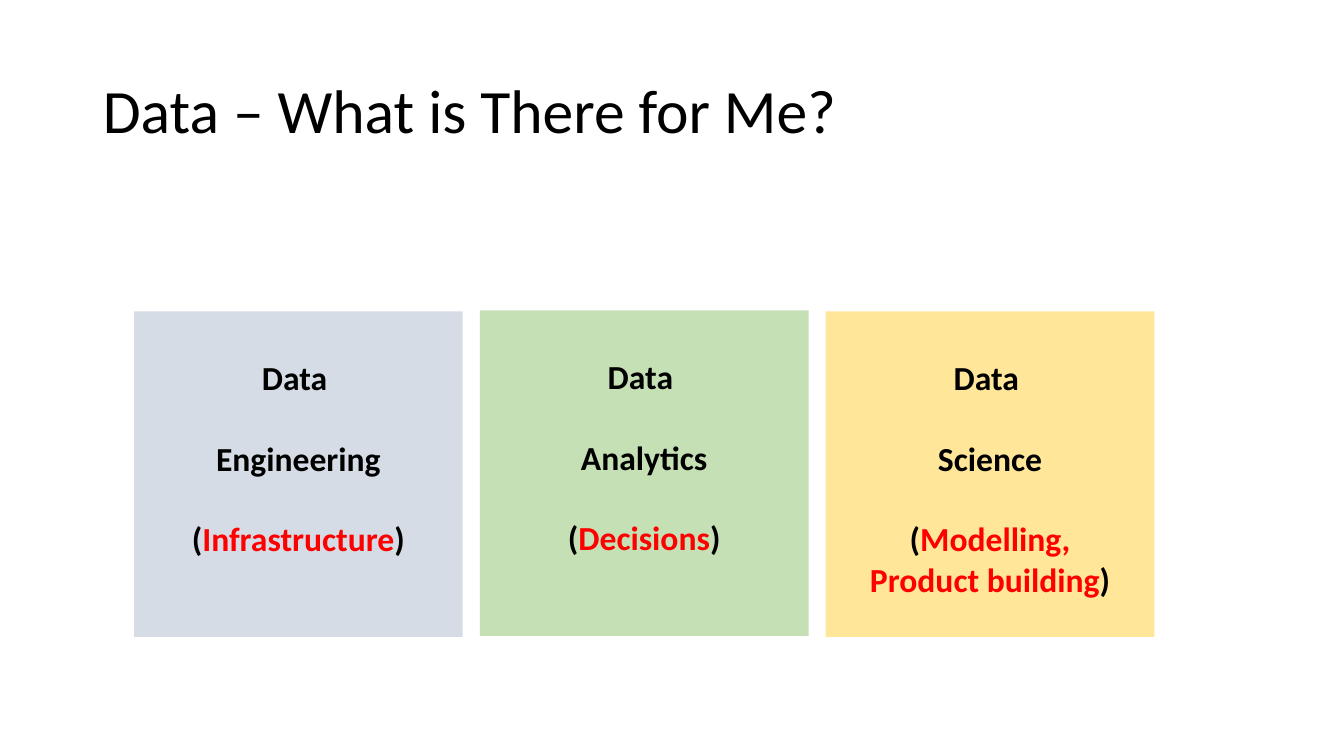
"""Build a slide that shows three data career paths side by side."""
import pptx
import pptx.util
from pptx.dml.color import RGBColor
from pptx.enum.shapes import MSO_SHAPE
from pptx.enum.text import MSO_ANCHOR, MSO_AUTO_SIZE, PP_ALIGN

TITLE = "Data – What is There for Me?"
PATHS = [
    ("Engineering", ["Infrastructure"], "D6DCE5", 3.09),
    ("Analytics", ["Decisions"], "C5E0B4", 3.08),
    ("Science", ["Modelling,", "Product building"], "FFE699", 3.09),
]
THEME = {"font": "Calibri", "title": 44, "body": 24, "text": "000000", "accent": "FF0000"}
SLIDE_W, SLIDE_H = 13.33, 7.5
CARD_LEFT, CARD_W, CARD_H, GAP = 1.33, 3.26, 3.23, 0.17
LINE = THEME["body"] * 1.2
INSET = 0.05

Inches, Pt = pptx.util.Inches, pptx.util.Pt


def apply(obj, **values):
    for name, value in values.items():
        setattr(obj, name, value)


def add_run(p, text, size, color, bold):
    r = p.add_run()
    r.text = text
    apply(r.font, name=THEME["font"], size=Pt(size), bold=bold)
    r.font.color.rgb = RGBColor.from_string(THEME[color])


def card_lines(field, goals):
    lines = [[("Data ", "text")], [(field, "text")]]
    lines += [[(goal, "accent")] for goal in goals]
    lines[2].insert(0, ("(", "text"))
    lines[-1].append((")", "text"))
    return lines


def add_card(s, column, field, goals, fill, top):
    left = CARD_LEFT + column * (CARD_W + GAP)
    sp = s.shapes.add_shape(MSO_SHAPE.RECTANGLE, *map(Inches, (left, top, CARD_W, CARD_H)))
    sp.shadow.inherit = False
    sp.fill.solid()
    sp.fill.fore_color.rgb = RGBColor.from_string(fill)
    sp.line.fill.background()
    tf = sp.text_frame
    apply(tf, word_wrap=True, vertical_anchor=MSO_ANCHOR.TOP,
          margin_top=Inches(INSET) + Pt(LINE))
    for i, runs in enumerate(card_lines(field, goals)):
        p = tf.paragraphs[0] if i == 0 else tf.add_paragraph()
        apply(p, alignment=PP_ALIGN.CENTER, space_before=Pt(LINE if i in (1, 2) else 0))
        for text, color in runs:
            add_run(p, text, THEME["body"], color, True)


def main():
    prs = pptx.Presentation()
    apply(prs, slide_width=Inches(SLIDE_W), slide_height=Inches(SLIDE_H))
    s = prs.slides.add_slide(prs.slide_layouts[5])
    title = s.shapes.title
    apply(title, left=Inches(0.92), top=Inches(0.4), width=Inches(11.5), height=Inches(1.45))
    tf = title.text_frame
    apply(tf, word_wrap=True, auto_size=MSO_AUTO_SIZE.NONE, vertical_anchor=MSO_ANCHOR.MIDDLE)
    p = tf.paragraphs[0]
    apply(p, alignment=PP_ALIGN.LEFT, line_spacing=0.9)
    add_run(p, TITLE, THEME["title"], "text", False)
    for column, card in enumerate(PATHS):
        add_card(s, column, *card)
    prs.save("out.pptx")


if __name__ == "__main__":
    main()
